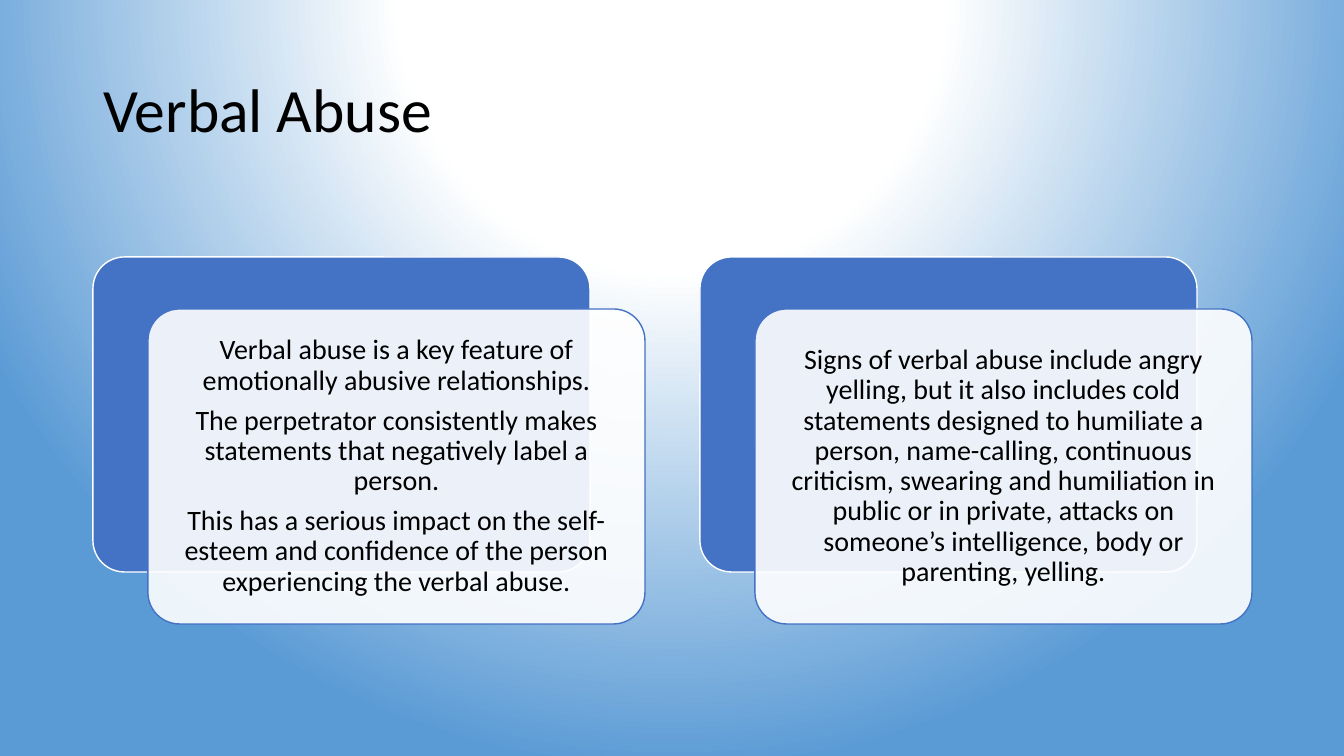
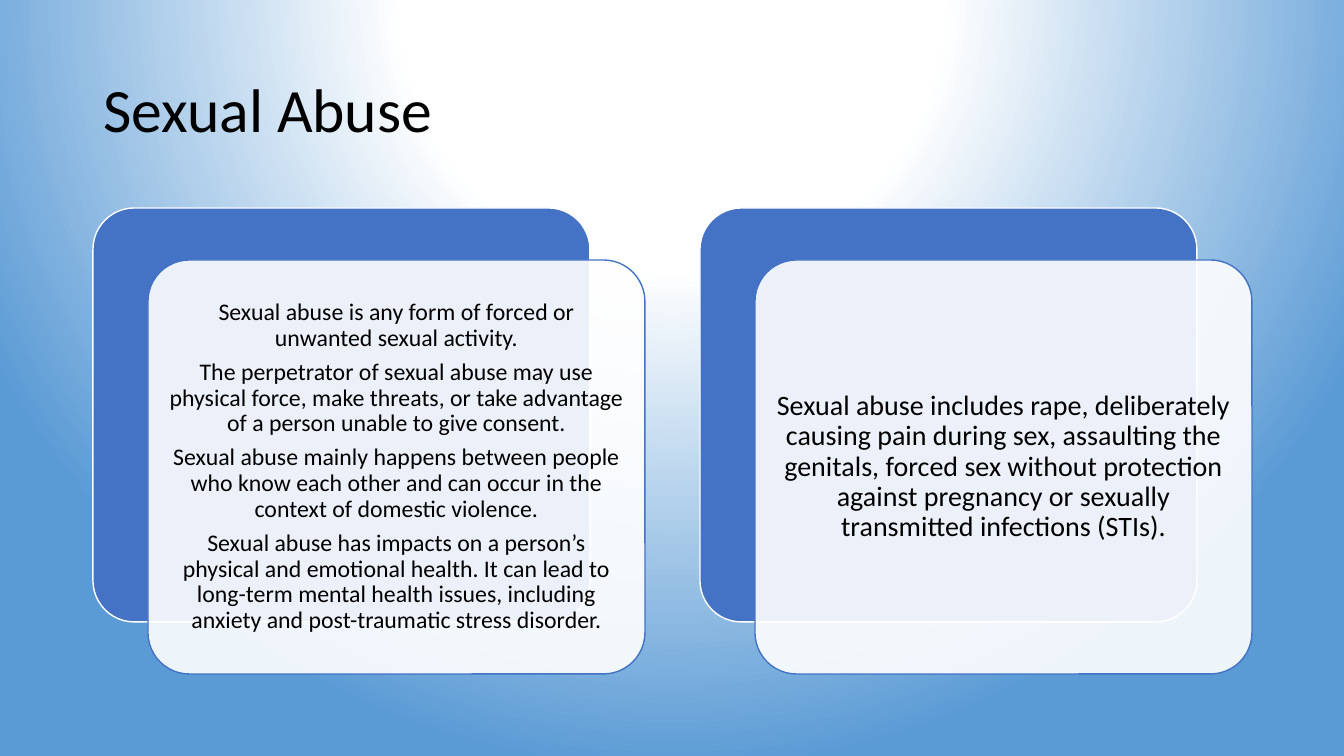
from lxml import etree
from pptx import Presentation
from pptx.dml.color import RGBColor
from pptx.enum.shapes import MSO_SHAPE
from pptx.enum.text import MSO_ANCHOR, PP_ALIGN
from pptx.oxml import parse_xml
from pptx.oxml.ns import qn
from pptx.util import Pt

ROUNDED = MSO_SHAPE.ROUNDED_RECTANGLE
MIDDLE = MSO_ANCHOR.MIDDLE
LEFT, CENTER = PP_ALIGN.LEFT, PP_ALIGN.CENTER

SLIDE_WIDTH, SLIDE_HEIGHT = 1344, 756
EMU_PER_PX = 12192000 / SLIDE_WIDTH
COLORS = {"text": "000000", "white": "FFFFFF", "blue": "4472C4", "sky": "5B9BD5"}
FONT = "Calibri"

TITLE_BOX = (93, 40, 1159, 146)
TITLE_SIZE = 44
CARD_LEFT, CARD_WIDTH, CARD_PITCH = 93, 497, 607
FRONT_SHIFT_X, FRONT_SHIFT_Y = 55, 52
CORNER = 0.1
FRONT_ALPHA = 90
SPACE_AFTER_RATIO, MARGIN_RATIO = 0.35, 0.3
BACKGROUND_STOPS = ((0, "white"), (35, "white"), (100, "sky"))

SLIDES = [
    {
        "title": "Verbal Abuse",
        "top": 257,
        "height": 315,
        "cards": [
            (20, [
                "Verbal abuse is a key feature of emotionally abusive relationships.",
                "The perpetrator consistently makes statements that negatively label a person.",
                "This has a serious impact on the self-esteem and confidence of the person "
                "experiencing the verbal abuse.",
            ]),
            (20, [
                "Signs of verbal abuse include angry yelling, but it also includes cold "
                "statements designed to humiliate a person, name-calling, continuous "
                "criticism, swearing and humiliation in public or in private, attacks on "
                "someone’s intelligence, body or parenting, yelling.",
            ]),
        ],
    },
    {
        "title": "Sexual Abuse",
        "top": 208,
        "height": 414,
        "cards": [
            (17, [
                "Sexual abuse is any form of forced or unwanted sexual activity.",
                "The perpetrator of sexual abuse may use physical force, make threats, or "
                "take advantage of a person unable to give consent.",
                "Sexual abuse mainly happens between people who know each other and can "
                "occur in the context of domestic violence.",
                "Sexual abuse has impacts on a person’s physical and emotional health. It "
                "can lead to long-term mental health issues, including anxiety and "
                "post-traumatic stress disorder.",
            ]),
            (20, [
                "Sexual abuse includes rape, deliberately causing pain during sex, "
                "assaulting the genitals, forced sex without protection against pregnancy "
                "or sexually transmitted infections (STIs).",
            ]),
        ],
    },
]


def px(value):
    """Turn pixels into EMU."""
    return round(value * EMU_PER_PX)


def color(name):
    """Return a named colour."""
    return RGBColor.from_string(COLORS[name])


def set_values(target, values):
    """Set several attributes of one object."""
    for name, value in values.items():
        setattr(target, name, value)


def set_background(master):
    """Give the master its radial white-to-blue background."""
    master.background.fill.gradient()
    stops = "".join(
        f'<a:gs pos="{position * 1000}"><a:srgbClr val="{COLORS[name]}"/></a:gs>'
        for position, name in BACKGROUND_STOPS
    )
    gradient = parse_xml(
        '<a:gradFill xmlns:a="http://schemas.openxmlformats.org/drawingml/2006/main" '
        f'rotWithShape="1"><a:gsLst>{stops}</a:gsLst><a:path path="circle">'
        '<a:fillToRect l="50000" t="-80000" r="50000" b="180000"/></a:path></a:gradFill>'
    )
    previous = next(master.element.iter(qn("a:gradFill")))
    previous.getparent().replace(previous, gradient)


def write_text(frame, texts, size, alignment, space_after=0):
    """Fill a text frame with equally formatted paragraphs."""
    set_values(frame, {"word_wrap": True, "vertical_anchor": MIDDLE})
    for index, text in enumerate(texts):
        paragraph = frame.add_paragraph() if index else frame.paragraphs[0]
        run = paragraph.add_run()
        run.text = text
        set_values(paragraph, {
            "alignment": alignment,
            "line_spacing": 0.9,
            "space_before": Pt(0),
            "space_after": Pt(space_after),
        })
        set_values(run.font, {"name": FONT, "size": Pt(size)})
        run.font.color.rgb = color("text")


def add_panel(slide, box, fill, line):
    """Add one rounded panel."""
    shape = slide.shapes.add_shape(ROUNDED, *map(px, box))
    shape.adjustments[0] = CORNER
    shape.shadow.inherit = False
    shape.fill.solid()
    shape.fill.fore_color.rgb = color(fill)
    shape.line.color.rgb = color(line)
    shape.line.width = Pt(1)
    return shape


def add_card(slide, box, size, texts):
    """Add a blue panel with a translucent text panel shifted over it."""
    left, top, width, height = box
    add_panel(slide, box, "blue", "white")
    front_box = (left + FRONT_SHIFT_X, top + FRONT_SHIFT_Y, width, height)
    front = add_panel(slide, front_box, "white", "blue")
    fill_color = front.fill._xPr.find(qn("a:solidFill"))[0]
    etree.SubElement(fill_color, qn("a:alpha")).set("val", str(FRONT_ALPHA * 1000))
    margin = Pt(size * MARGIN_RATIO)
    sides = ("left", "top", "right", "bottom")
    set_values(front.text_frame, {f"margin_{side}": margin for side in sides})
    write_text(front.text_frame, texts, size, CENTER, size * SPACE_AFTER_RATIO)


def add_title(slide, text):
    """Place and format the slide title."""
    title = slide.shapes.title
    set_values(title, dict(zip(("left", "top", "width", "height"), map(px, TITLE_BOX))))
    write_text(title.text_frame, [text], TITLE_SIZE, LEFT)


def add_card_slide(presentation, content):
    """Add a slide with a title and a row of cards."""
    slide = presentation.slides.add_slide(presentation.slide_layouts.get_by_name("Title Only"))
    add_title(slide, content["title"])
    for column, (size, texts) in enumerate(content["cards"]):
        left = CARD_LEFT + column * CARD_PITCH
        add_card(slide, (left, content["top"], CARD_WIDTH, content["height"]), size, texts)


def main():
    """Build and save the presentation."""
    presentation = Presentation()
    set_values(presentation, {"slide_width": px(SLIDE_WIDTH), "slide_height": px(SLIDE_HEIGHT)})
    set_background(presentation.slide_master)
    for content in SLIDES:
        add_card_slide(presentation, content)
    presentation.save("out.pptx")


if __name__ == "__main__":
    main()
